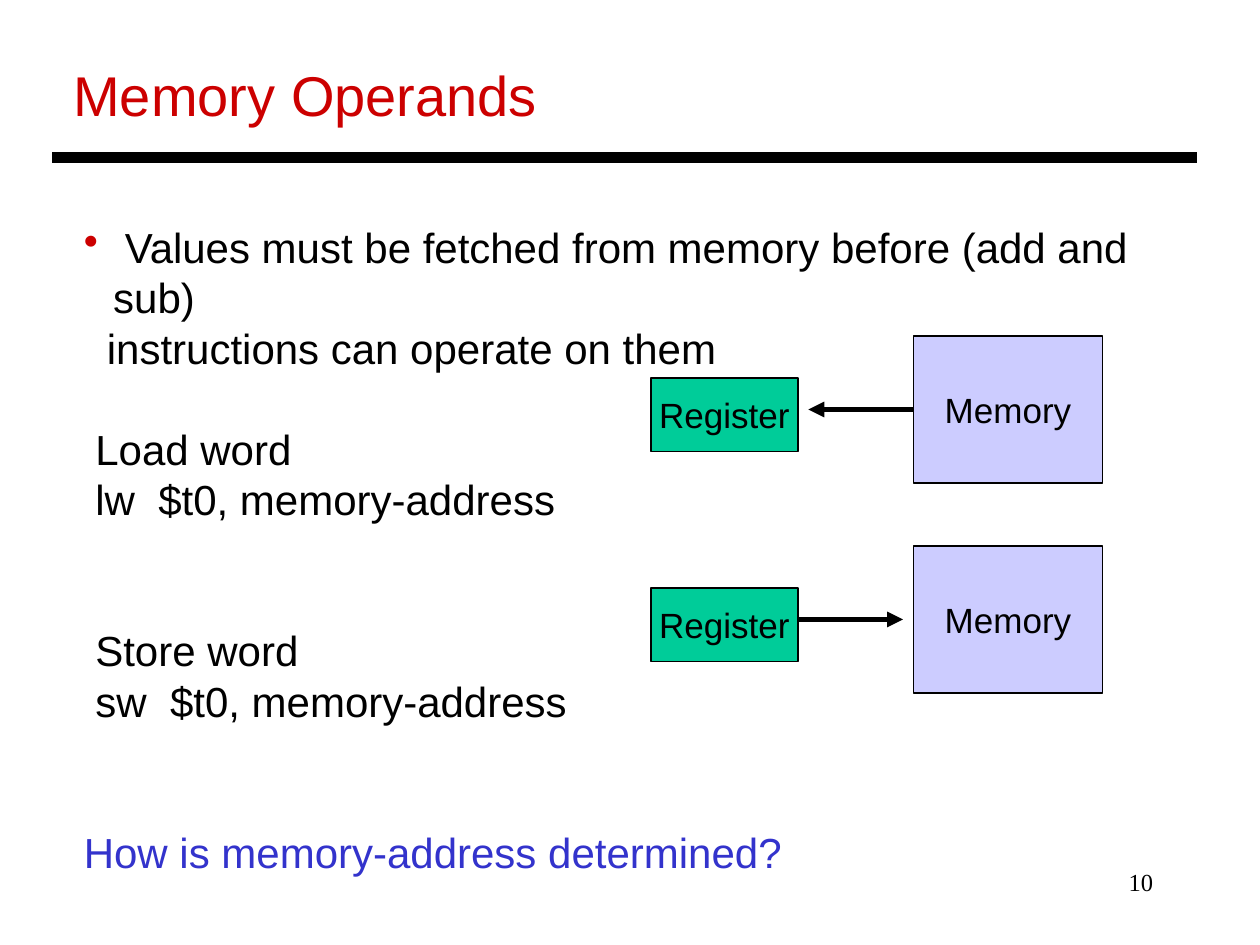
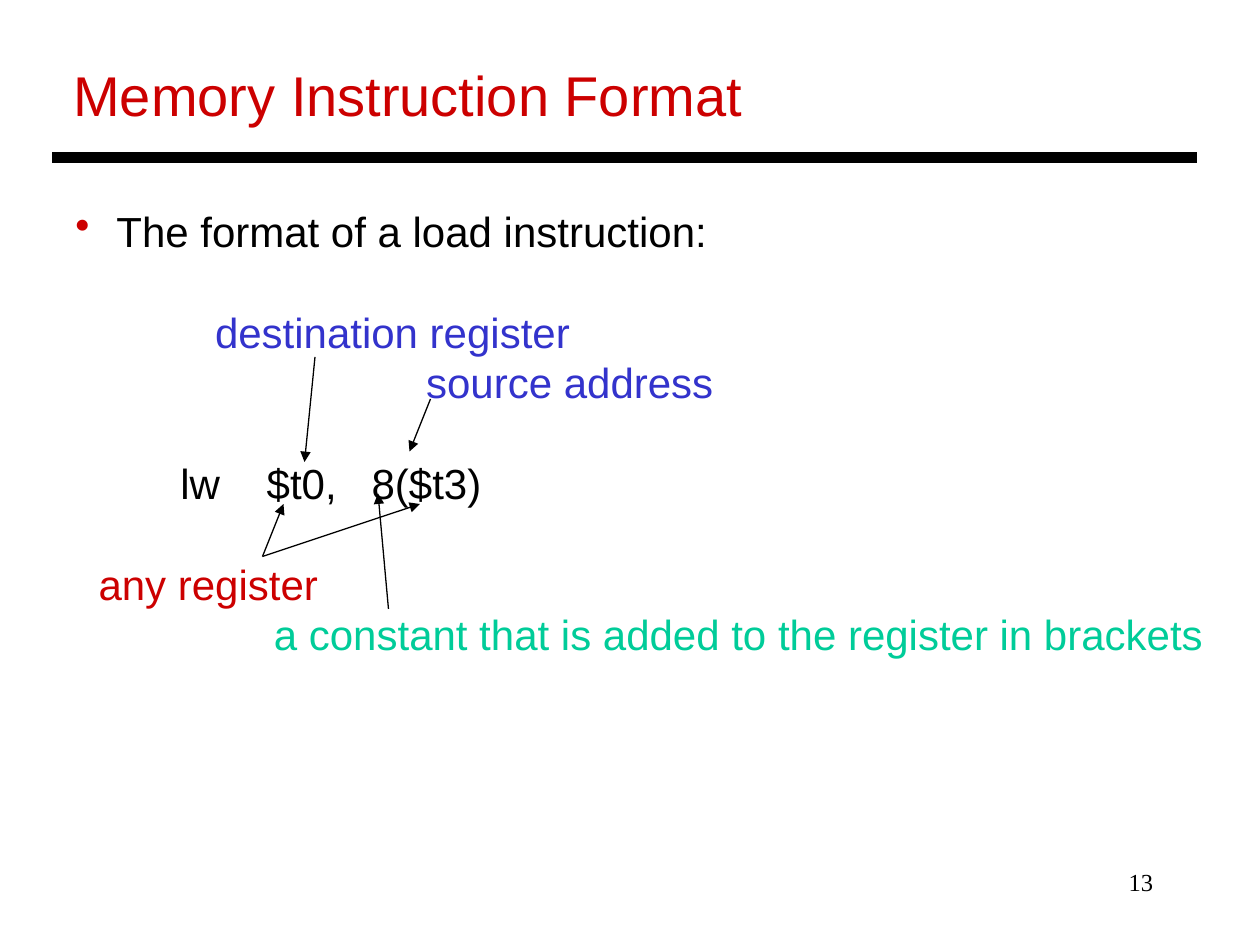
from lxml import etree
from pptx import Presentation
from pptx import util as u
from pptx.dml.color import RGBColor
from pptx.enum import shapes, text
from pptx.oxml.ns import qn

COLS, ROWS = 120, 90
UNIT = u.Inches(10) // COLS
LINE = 1.2
SIZE = 24
BLACK, RED, BLUE, GREEN, LILAC = "000000", "CC0000", "3333CC", "00CC99", "CCCCFF"
ALIGN, ANCHOR = text.PP_ALIGN, text.MSO_ANCHOR


def grid(*values):
    return [u.Emu(round(v * UNIT)) for v in values]


def rgb(color):
    return RGBColor.from_string(color)


def write(p, words, size=SIZE, color=BLACK, font="Arial", align=ALIGN.LEFT,
          indent=0, hang=0, bullet=False, gap=0):
    pPr = p._p.get_or_add_pPr()
    left, first = grid(indent, -hang)
    pPr.set("marL", str(left))
    pPr.set("indent", str(first))
    if bullet:
        clr = etree.SubElement(pPr, qn("a:buClr"))
        etree.SubElement(clr, qn("a:srgbClr")).set("val", RED)
        etree.SubElement(pPr, qn("a:buChar")).set("char", "•")
    p.alignment = align
    p.line_spacing = u.Pt(size * LINE)
    if gap:
        p.space_before = u.Pt(gap * size * LINE)
    r = p.add_run()
    r.text = words
    r.font.size, r.font.name = u.Pt(size), font
    r.font.color.rgb = rgb(color)


def text_box(s, box, lines):
    tf = s.shapes.add_textbox(*grid(*box)).text_frame
    tf.word_wrap = True
    for i, (words, fmt) in enumerate(lines):
        p = tf.add_paragraph() if i else tf.paragraphs[0]
        write(p, words, **fmt)


def line(s, start, end, width=0.75, arrow=True):
    c = s.shapes.add_connector(shapes.MSO_CONNECTOR.STRAIGHT, *grid(*start, *end))
    c.line.color.rgb = rgb(BLACK)
    c.line.width = u.Pt(width)
    spPr = c._element.spPr
    if arrow:
        etree.SubElement(spPr.find(qn("a:ln")), qn("a:tailEnd")).set("type", "triangle")
    etree.SubElement(spPr, qn("a:effectLst"))


def block(s, box, words, fill):
    sp = s.shapes.add_shape(shapes.MSO_SHAPE.RECTANGLE, *grid(*box))
    sp.shadow.inherit = False
    sp.fill.solid()
    sp.fill.fore_color.rgb = rgb(fill)
    sp.line.color.rgb = rgb(BLACK)
    sp.line.width = u.Pt(0.75)
    tf = sp.text_frame
    tf.word_wrap = False
    tf.vertical_anchor = ANCHOR.MIDDLE
    write(tf.paragraphs[0], words, size=20, align=ALIGN.CENTER)


def base_slide(prs, title, number):
    s = prs.slides.add_slide(prs.slide_layouts[6])
    text_box(s, (5.8, 5.2, 109, 7.7), [(title, dict(size=32, color=RED))])
    line(s, (5, 15), (114, 15), width=6, arrow=False)
    text_box(s, (86, 82, 25, 6),
             [(number, dict(size=14, font="Times New Roman", align=ALIGN.RIGHT))])
    return s


def transfer(s, box, load):
    x, y, w, h = box
    mid = y + h / 2
    block(s, (x, y + 4, 14, 7), "Register", GREEN)
    block(s, (x + w - 18, y, 18, h), "Memory", LILAC)
    if load:
        line(s, (x + 25, mid), (x + 15, mid), width=3)
    else:
        line(s, (x + 14, mid), (x + 24, mid), width=3)


def operands_slide(prs):
    s = base_slide(prs, "Memory Operands", "10")
    text_box(s, (6.8, 20.5, 109.6, 58.8), [
        (" Values must be fetched from memory before (add and sub)",
         dict(bullet=True, indent=2.8, hang=2.8)),
        ("instructions can operate on them", dict(indent=2.2)),
        ("Load word", dict(indent=1.1, gap=1)),
        ("lw  $t0, memory-address", dict(indent=1.1)),
        ("Store word", dict(indent=1.1, gap=2)),
        ("sw  $t0, memory-address", dict(indent=1.1)),
        ("How is memory-address determined?", dict(color=BLUE, gap=2)),
    ])
    for i, load in enumerate((True, False)):
        transfer(s, (62, 32 + 20 * i, 43, 14), load)


def format_slide(prs):
    s = base_slide(prs, "Memory Instruction Format", "13")
    x, y = 6, 19
    text_box(s, (x, y, 112, 44.4), [
        ("The format of a load instruction:", dict(bullet=True, indent=3.9, hang=3.9)),
        ("destination register", dict(color=BLUE, indent=13.3, gap=1)),
        ("source address", dict(color=BLUE, indent=33.4)),
        ("lw    $t0,   8($t3)", dict(indent=10, gap=1)),
        ("any register", dict(color=RED, indent=2.2, gap=1)),
        ("a constant that is added to the register in brackets",
         dict(color=GREEN, indent=18.9)),
    ])
    pointers = [((24, 15), (23, 25)), ((35, 19), (33, 24)), ((19, 34), (21, 29)),
                ((19, 34), (34, 29)), ((31, 39), (30, 28))]
    for (x1, y1), (x2, y2) in pointers:
        line(s, (x + x1, y + y1), (x + x2, y + y2))


def main():
    prs = Presentation()
    prs.slide_width, prs.slide_height = grid(COLS, ROWS)
    operands_slide(prs)
    format_slide(prs)
    prs.save("out.pptx")


if __name__ == "__main__":
    main()
